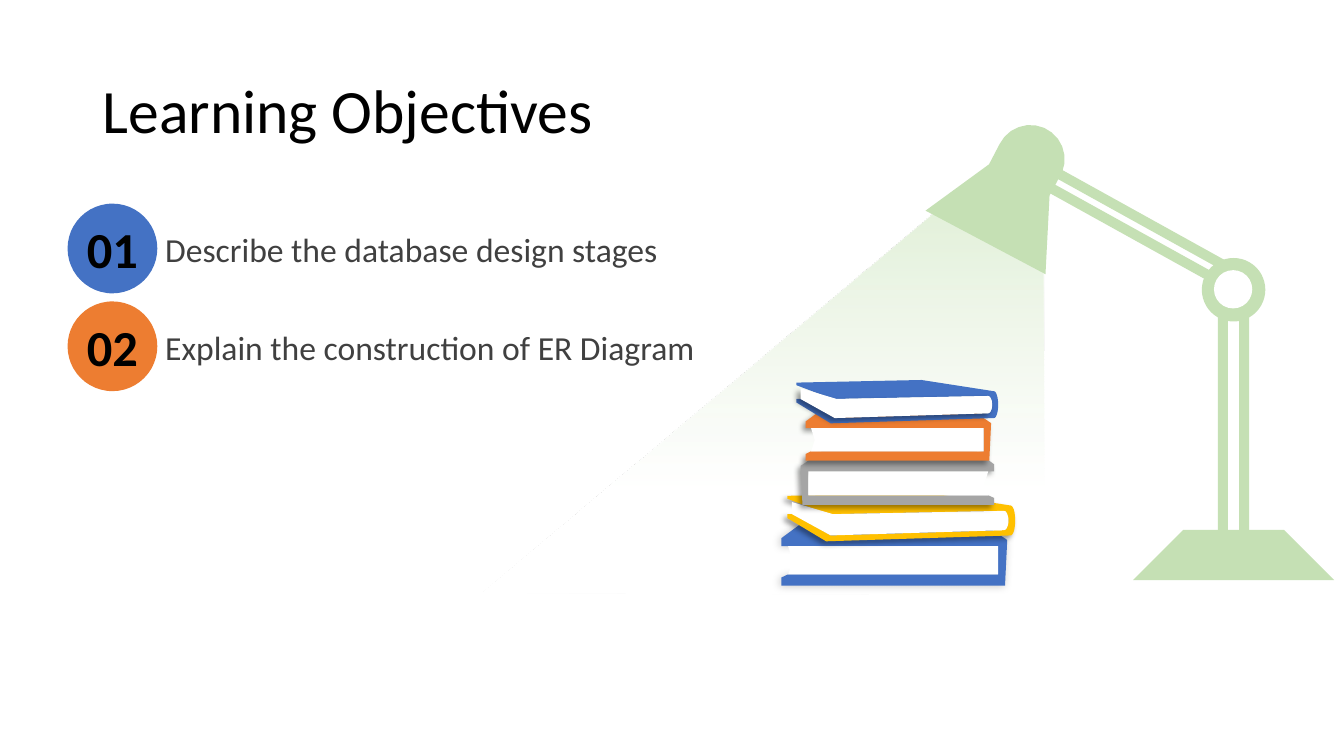
import copy
import math

import pptx
import pptx.util
import pptx.dml.color
import pptx.enum.shapes
import pptx.enum.text
import pptx.oxml
import pptx.oxml.ns

RGBColor = pptx.dml.color.RGBColor
SHAPE = pptx.enum.shapes.MSO_SHAPE
ALIGN = pptx.enum.text.PP_ALIGN
ANCHOR = pptx.enum.text.MSO_ANCHOR
Inches = pptx.util.Inches

WHITE = RGBColor(0xFF, 0xFF, 0xFF)
BLACK = RGBColor(0x00, 0x00, 0x00)
GRAY_TEXT = RGBColor(0x40, 0x40, 0x40)
BLUE = RGBColor(0x44, 0x72, 0xC4)
ORANGE = RGBColor(0xED, 0x7D, 0x31)
GRAY = RGBColor(0xA5, 0xA5, 0xA5)
GOLD = RGBColor(0xFF, 0xC0, 0x00)
LAMP_GREEN = RGBColor(0xC5, 0xE0, 0xB4)
LIGHT_GREEN = RGBColor(0xE2, 0xF0, 0xD9)

FONT = "Calibri"
FINE = 1000  # freeform steps per inch


def arc(center_x, center_y, radius_x, radius_y, start, end, steps=12):
    angles = [math.radians(start + (end - start) * step / steps) for step in range(steps + 1)]
    return [(center_x + radius_x * math.cos(angle), center_y + radius_y * math.sin(angle))
            for angle in angles]


# Book outlines in percent of the book's box: cover, pages
FLAT_BOOK = (
    [(9, 0), (0, 24), (0, 37), (96, 37), (96, 82), (3, 82), (0, 87), (0, 100),
     (99, 100), (100, 27), (89, 0)],
    [(3, 37), (96, 37), (96, 82), (3, 82), (5, 60)])
TILTED_BOOK = (
    [(0, 44), (0, 52), (17, 100), *arc(98, 57, 2, 31, 90, -90), (62, 0), (0, 6),
     (0, 12), (18, 44), *arc(95, 57, 2, 20, -90, 90), (19, 88), (3, 44)],
    [(2, 19), (2, 44), (19, 88), *arc(95, 57, 2, 20, 90, -90), (20, 44)])

# Shadow: opacity in percent, blur and distance in points
SOFT, STRONG = (20, 6, 1), (40, 4, 3)

# Outlines, box in inches from the stack's corner, mirrored, cover and pages shadows
BOOKS = [(BLUE, FLAT_BOOK, (0, 1.42, 2.24, 0.62), False, (SOFT, None)),
         (GOLD, TILTED_BOOK, (0.06, 1.12, 2.26, 0.48), False, (STRONG, None)),
         (GRAY, FLAT_BOOK, (0.19, 0.71, 1.92, 0.53), True, (STRONG, None)),
         (ORANGE, FLAT_BOOK, (0.24, 0.29, 1.84, 0.51), False, (STRONG, None)),
         (BLUE, TILTED_BOOK, (0.15, 0, 2, 0.43), False, (None, STRONG))]

OBJECTIVES = [("01", "Describe the database design stages", BLUE),
              ("02", "Explain the construction of ER Diagram", ORANGE)]


def style(shape, color):
    shape.shadow.inherit = False
    shape.line.fill.background()
    shape.fill.solid()
    shape.fill.fore_color.rgb = color


def add_outline(slide, box, points, color, shadow=None):
    """Draw points given in inches from the corner of the box."""
    steps = [(x * FINE, y * FINE) for x, y in points]
    builder = slide.shapes.build_freeform(*steps[0], scale=Inches(1) / FINE)
    builder.add_line_segments(steps[1:], close=True)
    shape = builder.convert_to_shape(Inches(box[0]), Inches(box[1]))
    style(shape, color)
    if shadow:
        opacity, blur, distance = shadow
        effects = shape._element.spPr.find(pptx.oxml.ns.qn("a:effectLst"))
        effects.append(pptx.oxml.parse_xml(
            f'<a:outerShdw {pptx.oxml.ns.nsdecls("a")} blurRad="{pptx.util.Pt(blur)}" '
            f'dist="{pptx.util.Pt(distance)}" dir="8100000" algn="tr" rotWithShape="0">'
            f'<a:srgbClr val="{BLACK}"><a:alpha val="{opacity * 1000}"/></a:srgbClr>'
            '</a:outerShdw>'))
    return shape


def add_part(slide, box, kind, place, color, rotation=0):
    left, top, width, height = place
    shape = slide.shapes.add_shape(kind, Inches(box[0] + left), Inches(box[1] + top),
                                   Inches(width), Inches(height))
    style(shape, color)
    shape.rotation = rotation
    return shape


def write(shape, text, size, color, bold=False, align=ALIGN.LEFT):
    frame = shape.text_frame
    frame.vertical_anchor = ANCHOR.MIDDLE
    frame.word_wrap = True
    paragraph = frame.paragraphs[0]
    paragraph.text = text
    paragraph.alignment = align
    paragraph.font.name = FONT
    paragraph.font.size = pptx.util.Pt(size)
    paragraph.font.bold = bold
    paragraph.font.color.rgb = color
    return frame


def add_text(slide, box, text, size, color):
    return write(slide.shapes.add_textbox(*map(Inches, box)), text, size, color)


def fade(beam):
    beam.fill.gradient()
    beam.fill.gradient_angle = 90
    first = beam.fill.gradient_stops[0]._gs
    first.addnext(copy.deepcopy(first))
    stops = [(0, WHITE, 20), (0.27, WHITE, 80), (1, LIGHT_GREEN, 100)]
    for stop, (position, color, opacity) in zip(beam.fill.gradient_stops, stops):
        stop.position = position
        stop.color.rgb = color
        stop._gs[0].append(pptx.oxml.parse_xml(
            f'<a:alpha {pptx.oxml.ns.nsdecls("a")} val="{opacity * 1000}"/>'))


def add_lamp(slide, box):
    # Light beam
    beam = [(5.54, 1.4), (5.56, 4.66), (0, 4.63), (4.57, 0.78)]
    fade(add_outline(slide, box, beam, LIGHT_GREEN))
    # Arm and post
    for left, top, rotation in [(6.42, -0.29, 299), (6.34, -0.15, 299),
                                (7.49, 1.64, 0), (7.28, 1.64, 0)]:
        add_part(slide, box, SHAPE.RECTANGLE, (left, top, 0.1, 2.4), LAMP_GREEN, rotation)
    # Joint
    add_part(slide, box, SHAPE.OVAL, (7.12, 1.32, 0.63, 0.63), LAMP_GREEN)
    add_part(slide, box, SHAPE.OVAL, (7.24, 1.44, 0.38, 0.38), WHITE)
    # Head: a round dome over a flared shade
    head = [*arc(5.42, 0.34, 0.34, 0.34, 206, 382), (5.61, 0.7), (5.57, 1.48),
            (4.38, 0.85), (5.01, 0.39)]
    add_outline(slide, box, head, LAMP_GREEN)
    # Foot
    add_part(slide, box, SHAPE.DIAGONAL_STRIPE, (6.73, 3.81, 1.41, 1.41), LAMP_GREEN, 45)


def add_books(slide, box):
    for color, outlines, (left, top, width, height), mirrored, shadows in BOOKS:
        for outline, fill, shadow in zip(outlines, (color, WHITE), shadows):
            points = [(left + width * (100 - x if mirrored else x) / 100,
                       top + height * y / 100) for x, y in outline]
            add_outline(slide, box, points, fill, shadow)


def add_objectives(slide, box):
    left, top, width, height = box
    pitch = height / len(OBJECTIVES)
    for row, (number, text, color) in enumerate(OBJECTIVES):
        row_top = top + row * pitch
        add_text(slide, (left + 0.87, row_top + 0.2, width - 0.87, 0.5), text, 24, GRAY_TEXT)
        badge = add_part(slide, (left, row_top), SHAPE.OVAL, (0, 0, 0.89, 0.89), color)
        frame = write(badge, number, 36, BLACK, True, ALIGN.CENTER)
        frame.margin_left = frame.margin_right = frame.margin_top = frame.margin_bottom = 0
        frame.word_wrap = False


def main():
    presentation = pptx.Presentation()
    presentation.slide_width = Inches(13.33)
    presentation.slide_height = Inches(7.5)
    slide = presentation.slides.add_slide(presentation.slide_layouts[6])
    add_lamp(slide, (4.8, 1.24))
    add_books(slide, (7.75, 3.77))
    title = add_text(slide, (0.92, 0.4, 11.5, 1.45), "Learning Objectives", 44, BLACK)
    title.paragraphs[0].line_spacing = 0.9
    add_objectives(slide, (0.67, 2.02, 6.97, 1.94))
    presentation.save("out.pptx")


if __name__ == "__main__":
    main()
